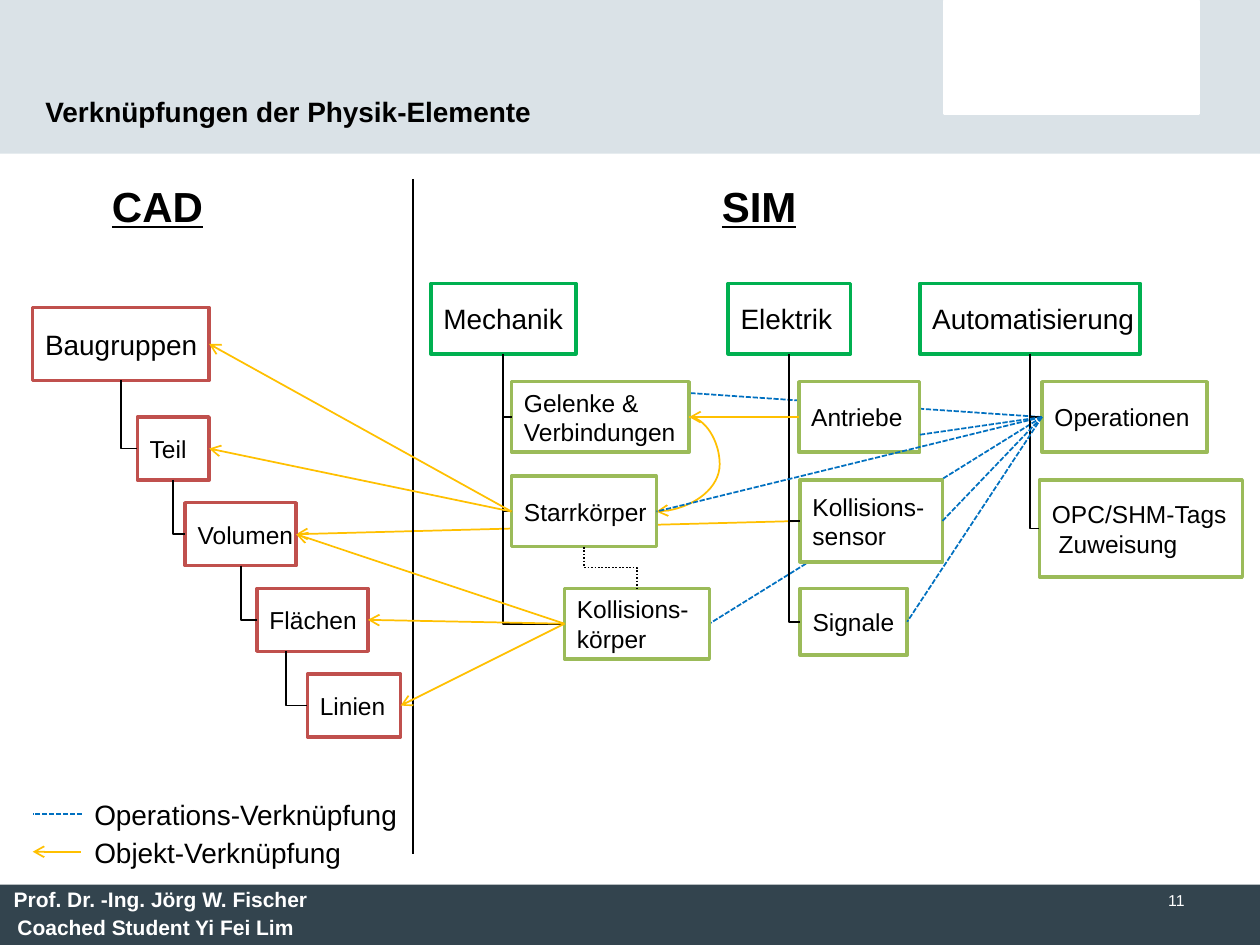
from lxml import etree
from pptx import Presentation
from pptx import util as u
from pptx.dml import color
from pptx.enum import dml, shapes, text
from pptx.oxml import ns

FONT = "Arial"
BLACK, WHITE = "000000", "FFFFFF"
RED, GREEN, LIME = "C0504D", "00B050", "9BBB59"
BLUE, YELLOW = "0070C0", "FFC000"
TOP, LEFT, BOTTOM, RIGHT = range(4)
DASHED, DOTTED = dml.MSO_LINE.SQUARE_DOT, dml.MSO_LINE.ROUND_DOT


def rgb(value):
    return color.RGBColor.from_string(value)


def write(shape, words, size, ink=BLACK, bold=False, underline=False, align=text.PP_ALIGN.LEFT):
    paragraph = shape.text_frame.paragraphs[0]
    paragraph.text = words
    paragraph.alignment = align
    font = paragraph.font
    font.name, font.size, font.bold = FONT, u.Pt(size), bold
    font.underline = underline
    font.color.rgb = rgb(ink)


def add_label(slide, box, words, size, wrap=True, **style):
    label = slide.shapes.add_textbox(*map(u.Inches, box))
    label.text_frame.word_wrap = wrap
    write(label, words, size, **style)


def add_rectangle(slide, box, fill, outline=None):
    shape = slide.shapes.add_shape(shapes.MSO_SHAPE.RECTANGLE, *map(u.Inches, box))
    shape.shadow.inherit = False
    shape.fill.solid()
    shape.fill.fore_color.rgb = rgb(fill)
    if outline:
        shape.line.color.rgb = rgb(outline)
        shape.line.width = u.Pt(2)
    else:
        shape.line.fill.background()
    return shape


def add_node(slide, box, words, outline, size=14):
    node = add_rectangle(slide, box, WHITE, outline)
    node.text_frame.word_wrap = False
    node.text_frame.vertical_anchor = text.MSO_ANCHOR.MIDDLE
    write(node, words, size)
    return node


def side_point(node, side):
    """Middle of one side of a node, in inches."""
    across = {LEFT: 0, RIGHT: 1}.get(side, 0.5)
    down = {TOP: 0, BOTTOM: 1}.get(side, 0.5)
    return ((node.left + across * node.width) / u.Inches(1),
            (node.top + down * node.height) / u.Inches(1))


def add_line(slide, start, end, ink=BLACK, dash=None, arrow=False,
             kind=shapes.MSO_CONNECTOR.STRAIGHT):
    connector = slide.shapes.add_connector(kind, *map(u.Inches, (*start, *end)))
    connector.line.color.rgb = rgb(ink)
    connector.line.width = u.Pt(1)
    if dash:
        connector.line.dash_style = dash
    properties = connector.element.spPr
    if arrow:
        etree.SubElement(properties.find(ns.qn("a:ln")), ns.qn("a:tailEnd"), type="arrow")
    etree.SubElement(properties, ns.qn("a:effectLst"))
    return connector


def add_elbow(slide, start, end, preset="bentConnector2", dash=None):
    """Bent connector that leaves its start downwards."""
    connector = add_line(slide, start, end, dash=dash, kind=shapes.MSO_CONNECTOR.ELBOW)
    across, down = end[0] - start[0], end[1] - start[1]
    connector.left = u.Inches((start[0] + end[0] - down) / 2)
    connector.top = u.Inches((start[1] + end[1] - across) / 2)
    connector.width, connector.height = u.Inches(down), u.Inches(across)
    properties = connector.element.spPr
    frame = properties.find(ns.qn("a:xfrm"))
    frame.set("rot", str(270 * 60000))
    frame.set("flipH", "1")
    properties.find(ns.qn("a:prstGeom")).set("prst", preset)


def add_link(slide, source, target, **style):
    """Straight line between (node, side) pairs; the target may be a bare point."""
    joined = not isinstance(target[0], float)
    end = side_point(*target) if joined else target
    connector = add_line(slide, side_point(*source), end, **style)
    connector.begin_connect(*source)
    if joined:
        connector.end_connect(*target)
    return connector


def add_frame(slide, width, height):
    # Header band with logo field, footer band and title
    add_rectangle(slide, (0, 0, width, 1.22), "DAE2E7")
    add_rectangle(slide, (width - 2.5, 0.01, 2.01, 0.89), WHITE, WHITE)
    add_rectangle(slide, (0, height - 0.48, width, 0.48), "33444E")
    add_label(slide, (0.01, height - 0.51, 2.68, 0.3), "Prof. Dr. -Ing. Jörg W. Fischer",
              12, ink=WHITE, bold=True)
    add_label(slide, (0.04, height - 0.29, 2.45, 0.3), "Coached Student Yi Fei Lim",
              12, ink=WHITE, bold=True)
    add_label(slide, (7.17, height - 0.48, 2.33, 0.48), "11", 9, ink=WHITE,
              align=text.PP_ALIGN.RIGHT)
    title = slide.shapes.title
    title.left, title.top, title.width, title.height = map(u.Inches, (0.26, 0.44, 6.07, 0.63))
    title.text_frame.vertical_anchor = text.MSO_ANCHOR.BOTTOM
    write(title, "Verknüpfungen der Physik-Elemente", 16, bold=True)
    slide.shapes._spTree.append(title.element)


def add_cad_tree(slide, left, top):
    add_label(slide, (left + 0.53, top, 1.01, 0.51), "CAD", 24, bold=True, underline=True)
    nodes = {"Baugruppen": add_node(slide, (left, top + 1.06, 1.4, 0.58), "Baugruppen", RED, 16)}
    parent = nodes["Baugruppen"]
    steps = [("Teil", 0.83, 0.57), ("Volumen", 1.21, 0.88),
             ("Flächen", 1.78, 0.88), ("Linien", 2.18, 0.74)]
    for row, (name, indent, width) in enumerate(steps):
        node = add_node(slide, (left + indent, top + 1.93 + row * 0.68, width, 0.5), name, RED)
        x, y = side_point(parent, BOTTOM)
        if name == "Linien":
            x = left + 2.01
        add_elbow(slide, (x, y), side_point(node, LEFT))
        nodes[name] = parent = node
    return nodes


def add_simulation_columns(slide, left, top):
    add_label(slide, (left + 2.21, top, 1.01, 0.51), "SIM", 24, bold=True, underline=True)
    # Heading, offset, width, then children: text, offset x, offset y, width, height
    columns = [
        ("Mechanik", 0, 1.15, [("Gelenke &\nVerbindungen", 0.64, 1.65, 1.41, 0.56),
                               ("Starrkörper", 0.64, 2.4, 1.15, 0.56),
                               ("Kollisions-\nkörper", 1.06, 3.29, 1.15, 0.56)]),
        ("Elektrik", 2.36, 0.97, [("Antriebe", 2.92, 1.65, 0.96, 0.56),
                                  ("Kollisions-\nsensor", 2.93, 2.43, 1.13, 0.65),
                                  ("Signale", 2.93, 3.29, 0.85, 0.53)]),
        ("Automatisierung", 3.88, 1.75, [("Operationen", 4.85, 1.65, 1.31, 0.56),
                                         ("OPC/SHM-Tags\n Zuweisung", 4.83, 2.43, 1.61, 0.77)]),
    ]
    nodes = {}
    for heading, offset, width, children in columns:
        head = add_node(slide, (left + offset, top + 0.87, width, 0.56), heading, GREEN, 16)
        for words, x, y, child_width, height in children:
            node = add_node(slide, (left + x, top + y, child_width, height), words, LIME)
            add_elbow(slide, side_point(head, BOTTOM), side_point(node, LEFT))
            nodes[words.replace("-\n", "").split("\n")[0]] = node
    add_elbow(slide, side_point(nodes["Starrkörper"], BOTTOM),
              side_point(nodes["Kollisionskörper"], TOP), "bentConnector3", DOTTED)
    return nodes


def add_links(slide, cad, simulation):
    # Object links
    body, collider = simulation["Starrkörper"], simulation["Kollisionskörper"]
    joints, sensor = simulation["Gelenke &"], simulation["Kollisionssensor"]
    pairs = [(body, cad["Teil"]), (body, cad["Baugruppen"]), (simulation["Antriebe"], joints)]
    pairs += [(collider, cad[name]) for name in ("Flächen", "Linien", "Volumen")]
    for source, target in pairs:
        add_link(slide, (source, LEFT), (target, RIGHT), ink=YELLOW, arrow=True)
    curve = add_line(slide, side_point(joints, RIGHT), side_point(body, RIGHT), YELLOW,
                     arrow=True, kind=shapes.MSO_CONNECTOR.CURVE)
    guides = curve.element.spPr.find(ns.qn("a:prstGeom")).find(ns.qn("a:avLst"))
    etree.SubElement(guides, ns.qn("a:gd"), name="adj1", fmla="val -93600")

    # Operation links
    operations = (simulation["Operationen"], LEFT)
    for target in (sensor, simulation["Signale"], body):
        add_link(slide, operations, (target, RIGHT), ink=BLUE, dash=DASHED)
    add_link(slide, operations, (7.3, 3.45), ink=BLUE, dash=DASHED)

    # Links that run behind the boxes
    behind = [add_link(slide, operations, (5.48, 3.12), ink=BLUE, dash=DASHED),
              add_link(slide, operations, (collider, RIGHT), ink=BLUE, dash=DASHED),
              add_link(slide, (sensor, LEFT), (cad["Volumen"], RIGHT), ink=YELLOW, arrow=True)]
    for connector in behind:
        cad["Baugruppen"].element.addprevious(connector.element)


def add_legend(slide, left, top):
    add_line(slide, (left + 0.39, top + 0.18), (left, top + 0.18), BLUE, DASHED)
    add_label(slide, (left + 0.39, top, 2.63, 0.37), "Operations-Verknüpfung", 16, wrap=False)
    add_line(slide, (left + 0.38, top + 0.48), (left, top + 0.48), YELLOW, arrow=True)
    add_label(slide, (left + 0.39, top + 0.3, 2.18, 0.37), "Objekt-Verknüpfung", 16, wrap=False)


def main():
    presentation = Presentation()
    presentation.slide_width, presentation.slide_height = u.Inches(10), u.Inches(7.5)
    slide = presentation.slides.add_slide(presentation.slide_layouts[5])
    add_frame(slide, 10, 7.5)
    cad = add_cad_tree(slide, 0.26, 1.38)
    add_line(slide, (3.28, 1.42), (3.28, 6.78))
    simulation = add_simulation_columns(slide, 3.42, 1.38)
    add_links(slide, cad, simulation)
    add_legend(slide, 0.26, 6.28)
    presentation.save("out.pptx")


if __name__ == "__main__":
    main()
